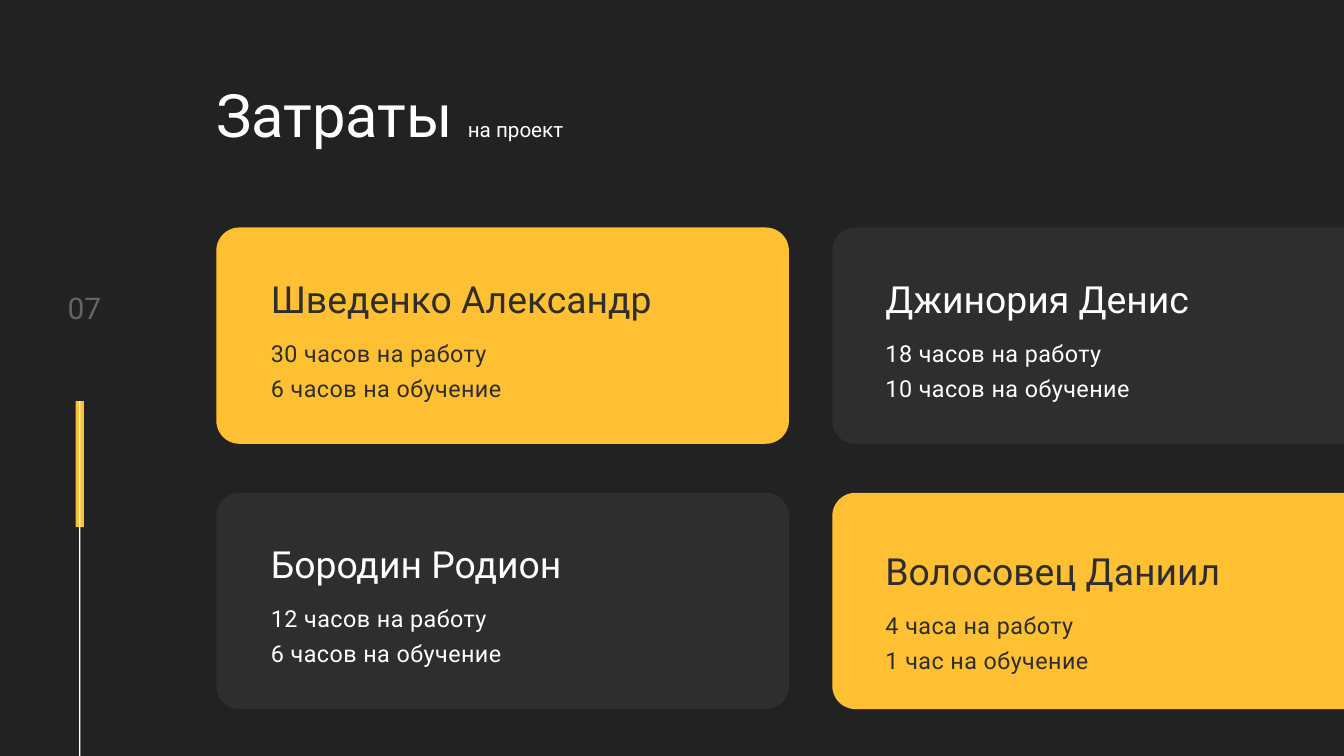
from lxml import etree
from pptx import Presentation
from pptx import util as u
from pptx.dml.color import RGBColor
from pptx.enum import shapes, text
from pptx.oxml.ns import qn

PX = 9525  # EMU in one px, 1920 x 1080 px
THEME = dict(
    font="Roboto", back="222222", gold="FFC033", gray="2E2E2E", white="FFFFFF",
    title=64, sub=22.1, page=32, name=40, hours=25,
)


def block(kind, box, color):
    """Add a plain filled shape without outline."""
    shape = slide.shapes.add_shape(kind, *[v * PX for v in box])
    shape.shadow.inherit = False
    shape.fill.solid()
    shape.fill.fore_color.rgb = RGBColor.from_string(THEME[color])
    shape.line.fill.background()
    return shape


def write(box, lines, color, lead, align=text.PP_ALIGN.LEFT, space=0):
    """Add a text box; each line is a list of (words, size key) runs."""
    frame = slide.shapes.add_textbox(*[v * PX for v in box]).text_frame
    frame.margin_left = frame.margin_right = 0
    frame.margin_top = frame.margin_bottom = 0
    frame.word_wrap = True
    frame.auto_size = text.MSO_AUTO_SIZE.SHAPE_TO_FIT_TEXT
    for i, line in enumerate(lines):
        para = frame.add_paragraph() if i else frame.paragraphs[0]
        para.alignment = align
        para.line_spacing = u.Pt(lead)
        for words, size in line:
            run = para.add_run()
            run.text = words
            run.font.name = THEME["font"]
            run.font.size = u.Pt(THEME[size])
            run.font.color.rgb = RGBColor.from_string(THEME[color])
            if space:
                run.font._element.set("spc", str(space))
    return frame


deck = Presentation()
deck.slide_width, deck.slide_height = 1920 * PX, 1080 * PX
slide = deck.slides.add_slide(deck.slide_layouts[6])
slide.background.fill.solid()
slide.background.fill.fore_color.rgb = RGBColor.from_string(THEME["back"])

# Side marker and page number
rect = shapes.MSO_SHAPE.RECTANGLE
block(rect, (108, 573, 12, 180), "gold")
block(rect, (113, 573, 2, 610), "white")
page = write((70, 422, 101, 47), [[("07", "page")]], "white", 32,
             text.PP_ALIGN.CENTER)
tint = page.paragraphs[0].runs[0].font._element.find(".//" + qn("a:srgbClr"))
etree.SubElement(tint, qn("a:alpha"), val="30000")

# Title
write((309, 103, 1138, 109),
      [[("Затраты ", "title"), ("на проект", "sub")]], "white", 83.2)

# Cards: column, row, fill, text colour, text drop, name, hours
cards = [
    (0, 0, "gold", "gray", 59, "Шведенко Александр",
     ["30 часов на работу", "6 часов на обучение"]),
    (0, 1, "gray", "white", 59, "Бородин Родион",
     ["12 часов на работу", "6 часов на обучение"]),
    (1, 0, "gray", "white", 59, "Джинория Денис",
     ["18 часов на работу", "10 часов на обучение"]),
    (1, 1, "gold", "gray", 69, "Волосовец Даниил",
     ["4 часа на работу", "1 час на обучение"]),
]
wide, high, curve = 818, 309, 33
for col, row, fill, ink, drop, name, hours in cards:
    x, y = 309 + 880 * col, 325 + 379 * row
    card = block(shapes.MSO_SHAPE.ROUNDED_RECTANGLE, (x, y, wide, high), fill)
    card.adjustments[0] = curve / high
    left, top = x + 78 - 2 * col, y + drop
    write((left, top, 581, 70), [[(name, "name")]], ink, 56)
    write((left, top + 90, 581, 94), [[(line, "hours")] for line in hours],
          ink, 37.5, space=50)

deck.save("out.pptx")
